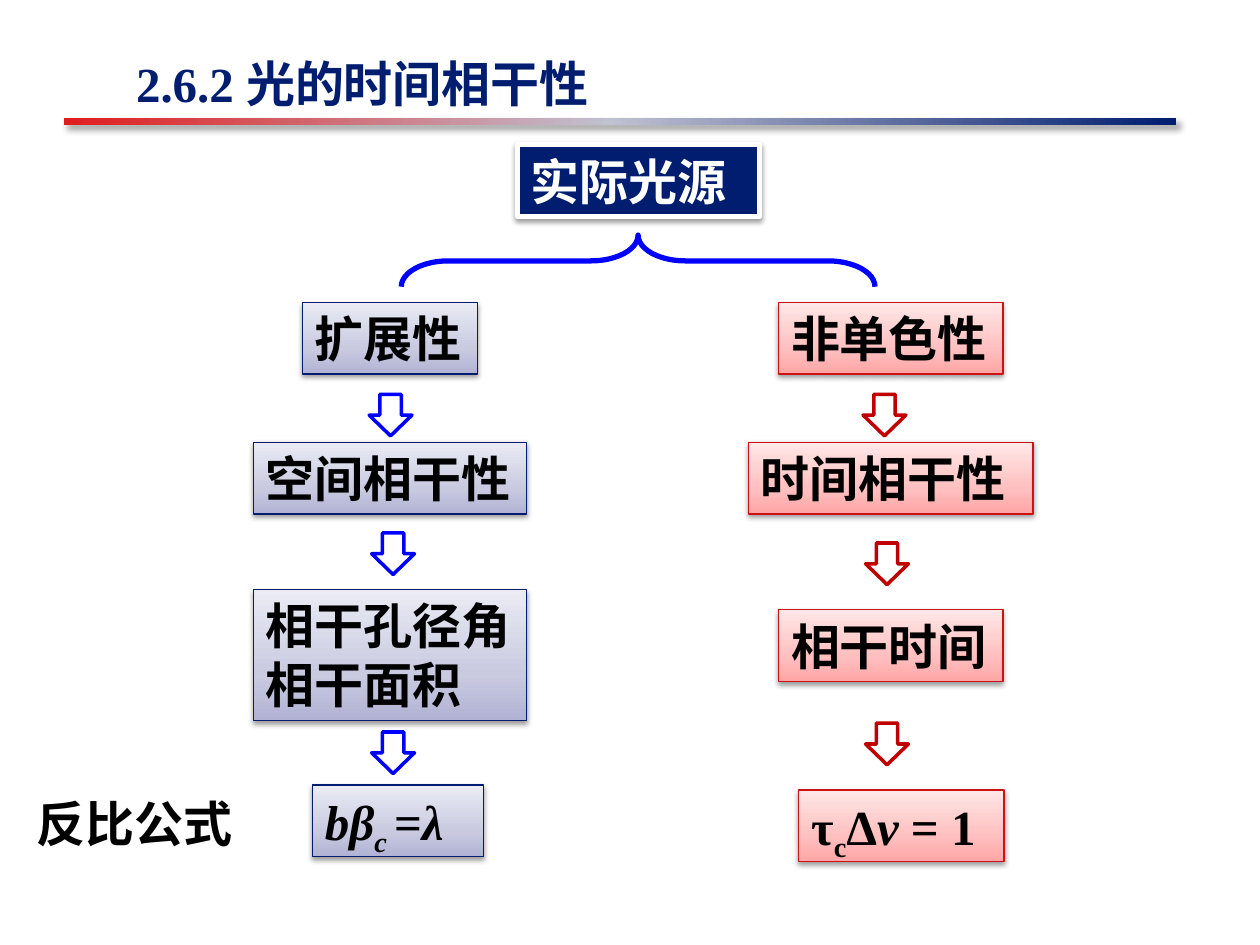
from copy import deepcopy
from dataclasses import dataclass

from lxml.etree import SubElement
from pptx import Presentation
from pptx.dml.color import RGBColor
from pptx.enum.shapes import MSO_SHAPE
from pptx.enum.text import MSO_ANCHOR, PP_ALIGN
from pptx.oxml.ns import qn
from pptx.util import Inches, Pt


@dataclass(frozen=True)
class Theme:
    font: str = "Times New Roman"
    size: int = 28
    navy: str = "001D70"
    black: str = "000000"
    white: str = "FFFFFF"
    blue: str = "0000FF"
    red: str = "C00000"
    blue_edge: str = "001C6E"
    red_edge: str = "CB1315"
    blue_grad: tuple = ((0, "B1B2D4"), (0.35, "C9CAE0"), (1, "EAEBF4"))
    red_grad: tuple = ((0, "FFA5A5"), (0.35, "FFBFBF"), (1, "FFE7E7"))
    rule_grad: tuple = ((0, "E01C1E"), (0.49, "C0C1D1"), (1, "001D70"))
    box_shadow: tuple = (38, 3.1, 1.6, 90)
    rule_shadow: tuple = (40, 4, 3, 45)


class Deck:
    def __init__(self, theme):
        self.t = theme
        self.prs = Presentation()
        self.prs.slide_width, self.prs.slide_height = Inches(10), Inches(7.5)
        self.s = self.prs.slides.add_slide(self.prs.slide_layouts[5])

    def fill_text(self, tf, lines, color, anchor=MSO_ANCHOR.TOP):
        for name, value in {"word_wrap": True, "vertical_anchor": anchor}.items():
            setattr(tf, name, value)
        for i, runs in enumerate(lines):
            p = tf.add_paragraph() if i else tf.paragraphs[0]
            p.alignment = PP_ALIGN.LEFT
            for text, italic, sub in runs:
                r = p.add_run()
                r.text = text
                style = {"name": self.t.font, "size": Pt(self.t.size), "bold": True, "italic": italic}
                for name, value in style.items():
                    setattr(r.font, name, value)
                r.font.color.rgb = RGBColor.from_string(color)
                if sub:
                    r.font._element.set("baseline", "-25000")

    def title(self, at, text):
        sp = self.s.shapes.title
        for name, value in zip(("left", "top", "width", "height"), at):
            setattr(sp, name, Inches(value))
        self.fill_text(sp.text_frame, [plain(text)], self.t.navy, MSO_ANCHOR.MIDDLE)

    def label(self, at, text):
        sp = self.s.shapes.add_textbox(*map(Inches, at))
        self.fill_text(sp.text_frame, [plain(text)], self.t.black)

    def shape(self, kind, at, fill=None, line=None, width=0.75, angle=90, shadow=None):
        sp = self.s.shapes.add_shape(kind, *map(Inches, at))
        if fill is None:
            sp.fill.background()
        elif isinstance(fill, str):
            sp.fill.solid()
            sp.fill.fore_color.rgb = RGBColor.from_string(fill)
        else:
            self.gradient(sp, fill, angle)
        if line:
            sp.line.color.rgb = RGBColor.from_string(line)
            sp.line.width = Pt(width)
        else:
            sp.line.fill.background()
        sp.shadow.inherit = False
        if shadow:
            self.shadow(sp, *shadow)
        return sp

    def gradient(self, sp, stops, angle):
        sp.fill.gradient()
        sp.fill.gradient_angle = angle
        gs_list = sp._element.spPr.find(qn("a:gradFill")).find(qn("a:gsLst"))
        gs_list.append(deepcopy(gs_list[-1]))
        for stop, (position, color) in zip(sp.fill.gradient_stops, stops):
            stop.position = position
            stop.color.rgb = RGBColor.from_string(color)

    def shadow(self, sp, alpha, blur, dist, direction):
        effects = sp._element.spPr.find(qn("a:effectLst"))
        outer = SubElement(effects, qn("a:outerShdw"), blurRad=str(Pt(blur)),
                           dist=str(Pt(dist)), dir=str(direction * 60000), rotWithShape="0")
        color = SubElement(outer, qn("a:srgbClr"), val=self.t.black)
        SubElement(color, qn("a:alpha"), val=str(alpha * 1000))

    def rule(self, at):
        self.shape(MSO_SHAPE.RECTANGLE, at, self.t.rule_grad, angle=0, shadow=self.t.rule_shadow)

    def box(self, at, lines, fill, line, width=0.75, color=None):
        sp = self.shape(MSO_SHAPE.RECTANGLE, at, fill, line, width, shadow=self.t.box_shadow)
        self.fill_text(sp.text_frame, lines, color or self.t.black)

    def brace(self, at):
        sp = self.shape(MSO_SHAPE.RIGHT_BRACE, at, line=self.t.blue, width=3)
        sp.rotation = 270
        sp.adjustments[0] = 0.913

    def arrow(self, left, top, color):
        self.shape(MSO_SHAPE.DOWN_ARROW, (left, top, 0.34, 0.33), line=color, width=2)


def plain(text):
    return [(text, False, False)]


def main():
    t = Theme()
    deck = Deck(t)
    deck.title((0.98, 0.36, 4.41, 0.59), "2.6.2 光的时间相干性")
    deck.rule((0.51, 0.94, 8.82, 0.05))
    deck.label((0.19, 6.25, 1.78, 0.57), "反比公式")
    deck.box((4.11, 1.15, 1.92, 0.57), [plain("实际光源")], t.navy, t.white, 3, t.white)
    deck.brace((4.86, 0.19, 0.41, 3.76))

    space_formula = [("bβ", True, False), ("c ", True, True), ("=", False, False), ("λ", True, False)]
    time_formula = [("τ", False, False), ("c", False, True), ("Δ", False, False),
                    ("ν", True, False), (" = 1", False, False)]
    space_boxes = [
        ((2.4, 2.4, 1.39, 0.57), [plain("扩展性")]),
        ((2.01, 3.51, 2.17, 0.57), [plain("空间相干性")]),
        ((2.01, 4.68, 2.17, 1.04), [plain("相干孔径角"), plain("相干面积")]),
        ((2.48, 6.23, 1.36, 0.57), [space_formula]),
    ]
    time_boxes = [
        ((6.18, 2.4, 1.78, 0.57), [plain("非单色性")]),
        ((5.94, 3.51, 2.26, 0.57), [plain("时间相干性")]),
        ((6.18, 4.84, 1.78, 0.57), [plain("相干时间")]),
        ((6.34, 6.27, 1.63, 0.57), [time_formula]),
    ]
    space_arrows = [(2.93, 3.13), (2.95, 4.23), (2.95, 5.81)]
    time_arrows = [(6.85, 3.13), (6.87, 4.31), (6.87, 5.74)]
    branches = [
        (space_boxes, space_arrows, t.blue_grad, t.blue_edge, t.blue),
        (time_boxes, time_arrows, t.red_grad, t.red_edge, t.red),
    ]
    for boxes, arrows, fill, edge, arrow_color in branches:
        for at, lines in boxes:
            deck.box(at, lines, fill, edge)
        for left, top in arrows:
            deck.arrow(left, top, arrow_color)
    deck.prs.save("out.pptx")


if __name__ == "__main__":
    main()
